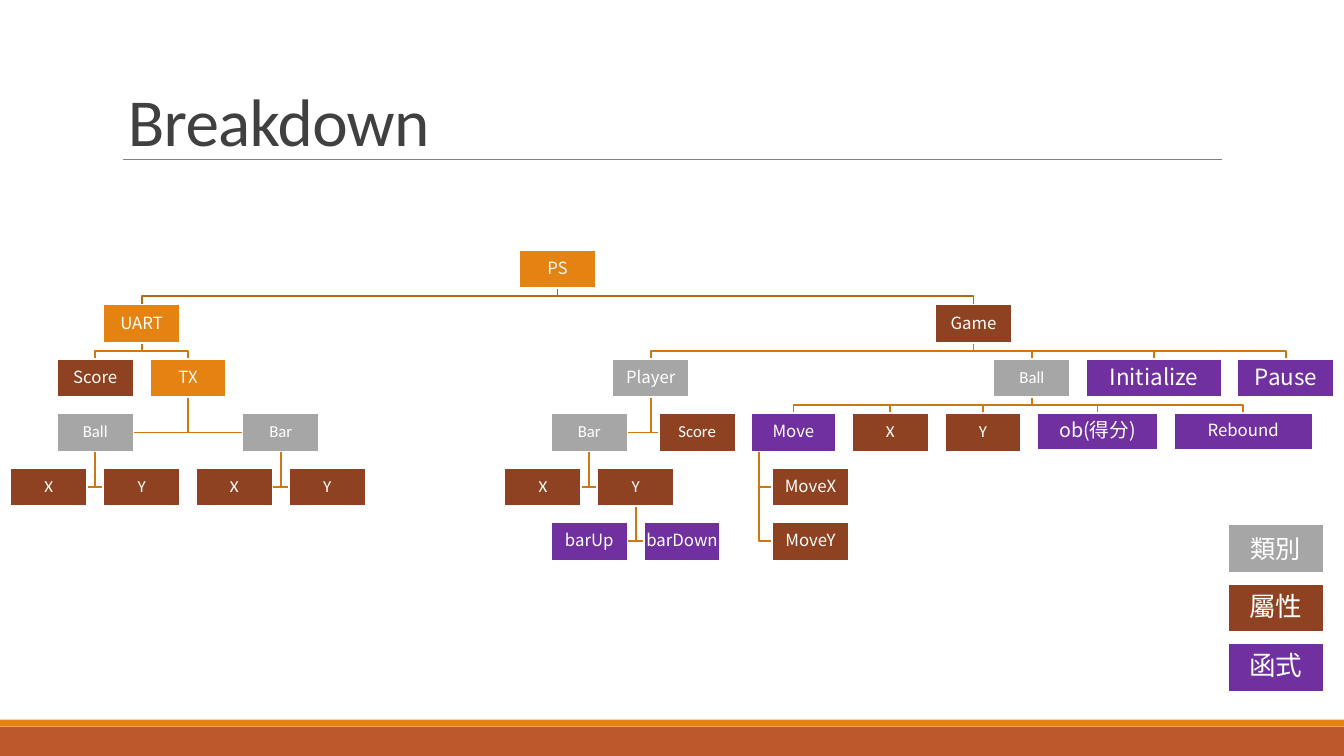
from dataclasses import dataclass, field

from lxml import etree
from pptx import Presentation
from pptx.dml.color import RGBColor
from pptx.enum.shapes import MSO_CONNECTOR, MSO_SHAPE
from pptx.enum.text import MSO_ANCHOR, PP_ALIGN
from pptx.oxml.ns import qn
from pptx.util import Inches, Pt

RECT = MSO_SHAPE.RECTANGLE
STRAIGHT = MSO_CONNECTOR.STRAIGHT
MIDDLE, BOTTOM = MSO_ANCHOR.MIDDLE, MSO_ANCHOR.BOTTOM
CENTER, LEFT = PP_ALIGN.CENTER, PP_ALIGN.LEFT

SLIDE_W, SLIDE_H = 13.33, 7.5
CALIBRI, NOTO = "Calibri", "Noto Sans CJK SC"
MODULE, CLASS, ATTRIBUTE, METHOD = "E48312", "A6A6A6", "8E4221", "7030A0"
WHITE = "FFFFFF"
ROOT_LINK, LINK = "B7690E", "CF7710"

BOX_W, BOX_H = 0.76, 0.38
GAP = 0.16
ROW_STEP = BOX_H + GAP
CHART_TOP, ROOT_X = 2.48, 5.53
LIST_STEM, LIST_INDENT = 0.08, 0.13


@dataclass
class Node:
    """A chart box; children stand in a "row", a "pair" beside a stem, or a "list"."""
    label: str
    fill: str
    children: list = field(default_factory=list)
    layout: str = "row"
    spread: tuple = (GAP / 2, GAP / 2)
    gap: float = GAP
    width: float = BOX_W
    height: float = BOX_H
    size: int = 12
    font: str = NOTO
    x: float = 0
    y: float = 0

    @property
    def center(self):
        return self.x + self.width / 2

    @property
    def stem(self):
        return self.x + LIST_STEM if self.layout == "list" else self.center


def small(label, fill, *children, **options):
    return Node(label, fill, list(children), font=CALIBRI, **options)


def axes():
    return [small("X", ATTRIBUTE), small("Y", ATTRIBUTE)]


def build_tree():
    uart = Node("UART", MODULE, [
        Node("Score", ATTRIBUTE),
        Node("TX", MODULE, [
            small("Ball", CLASS, *axes(), layout="pair"),
            small("Bar", CLASS, *axes(), layout="pair"),
        ], layout="pair", spread=(0.54, 0.54)),
    ])
    bar_moves = [Node("barUp", METHOD), Node("barDown", METHOD)]
    player = Node("Player", CLASS, [
        small("Bar", CLASS, small("X", ATTRIBUTE),
              small("Y", ATTRIBUTE, *bar_moves, layout="pair"), layout="pair"),
        small("Score", ATTRIBUTE),
    ], layout="pair", spread=(0.23, GAP / 2))
    move = Node("Move", METHOD, [Node("MoveX", ATTRIBUTE), Node("MoveY", ATTRIBUTE)],
                layout="list", width=0.84)
    ball = small("Ball", CLASS, move, *axes(),
                 Node("ob(得分)", METHOD, width=1.19, height=0.36, size=14),
                 Node("Rebound", METHOD, width=1.38, height=0.36), gap=3.02)
    game = Node("Game", ATTRIBUTE, [
        player, ball,
        Node("Initialize", METHOD, width=1.34, size=16),
        Node("Pause", METHOD, width=0.96, size=16),
    ], gap=7.49)
    return Node("PS", MODULE, [uart, game])


def place(node, x, y):
    """Set the position of a node and, from it, of everything below."""
    node.x, node.y = x, y
    if not node.children:
        return
    below = y + ROW_STEP
    if node.layout == "row":
        gaps = [0] + [child.gap for child in node.children[1:]]
        left = node.center - (sum(gaps) + sum(c.width for c in node.children)) / 2
        for child, gap in zip(node.children, gaps):
            place(child, left + gap, below)
            left += gap + child.width
    elif node.layout == "pair":
        first, second = node.children
        place(first, node.stem - node.spread[0] - first.width, below)
        place(second, node.stem + node.spread[1], below)
    else:
        for step, child in enumerate(node.children):
            place(child, node.stem + LIST_INDENT, below + step * ROW_STEP)


def color(hex_code):
    return RGBColor.from_string(hex_code)


def write(shape, text, size=12, font=NOTO, ink=WHITE, align=CENTER, anchor=MIDDLE,
          inset=0.01, line_spacing=0.9, tracking=None, wrap=False):
    frame = shape.text_frame
    frame.word_wrap = wrap
    frame.vertical_anchor = anchor
    frame.margin_left = frame.margin_right = Inches(inset)
    frame.margin_top = frame.margin_bottom = Inches(inset / 2 if wrap else inset)
    paragraph = frame.paragraphs[0]
    paragraph.alignment = align
    paragraph.line_spacing = line_spacing
    run = paragraph.add_run()
    run.text = text
    run.font.size = Pt(size)
    run.font.name = font
    run.font.color.rgb = color(ink)
    properties = run.font._element
    etree.SubElement(properties, qn("a:ea")).set("typeface", font)
    if tracking is not None:
        properties.set("spc", str(tracking))


def add_box(slide, x, y, width, height, fill, outline=None):
    box = slide.shapes.add_shape(RECT, *map(Inches, (x, y, width, height)))
    box.shadow.inherit = False
    box.fill.solid()
    box.fill.fore_color.rgb = color(fill)
    if outline:
        box.line.color.rgb = color(outline)
        box.line.width = Pt(1.25)
    else:
        box.line.fill.background()
    return box


def add_link(slide, parent, child, ink):
    start = (parent.stem, parent.y + parent.height)
    if parent.layout == "row":
        turn = (start[1] + child.y) / 2
        corners = [(parent.stem, turn), (child.center, turn), (child.center, child.y)]
    else:
        level = child.y + child.height / 2
        side = child.x + child.width if child.center < parent.stem else child.x
        corners = [(parent.stem, level), (side, level)]
    points = [tuple(map(Inches, point)) for point in [start, *corners]]
    builder = slide.shapes.build_freeform(*points[0])
    builder.add_line_segments(points[1:], close=False)
    link = builder.convert_to_shape()
    link.shadow.inherit = False
    link.fill.background()
    link.line.color.rgb = color(ink)
    link.line.width = Pt(1.25)


def draw_links(slide, node, ink=LINK):
    for child in node.children:
        draw_links(slide, child)
        add_link(slide, node, child, ink)


def draw_nodes(slide, node):
    box = add_box(slide, node.x, node.y, node.width, node.height, node.fill, WHITE)
    write(box, node.label, size=node.size, font=node.font)
    for child in node.children:
        draw_nodes(slide, child)


def draw_frame(slide):
    """Draw the footer bands, the title and its rule."""
    add_box(slide, 0, 7.21, SLIDE_W, SLIDE_H - 7.21, "BD582C")
    add_box(slide, 0, 7.14, SLIDE_W, 0.07, MODULE)
    ends = map(Inches, (1.22, 1.58, 12.12, 1.58))
    rule = slide.shapes.add_connector(STRAIGHT, *ends)
    rule.line.color.rgb = color("808080")
    rule.line.width = Pt(0.5)
    etree.SubElement(rule._element.spPr, qn("a:effectLst"))
    title = slide.shapes.add_textbox(*map(Inches, (1.17, 0.05, 11, 1.59)))
    write(title, "Breakdown", size=48, font=CALIBRI, ink="404040", align=LEFT,
          anchor=BOTTOM, inset=0.1, line_spacing=0.85, tracking=-50, wrap=True)


def draw_legend(slide):
    entries = [("類別", CLASS, 18, 1), ("屬性", ATTRIBUTE, 19, 0.9), ("函式", METHOD, 19, 0.9)]
    for row, (label, fill, size, spacing) in enumerate(entries):
        key = add_box(slide, 12.18, 5.2 + row * 0.59, 0.95, 0.48, fill, WHITE)
        write(key, label, size=size, line_spacing=spacing)


def main():
    deck = Presentation()
    deck.slide_width, deck.slide_height = Inches(SLIDE_W), Inches(SLIDE_H)
    slide = deck.slides.add_slide(deck.slide_layouts[6])
    draw_frame(slide)
    root = build_tree()
    place(root, ROOT_X - BOX_W / 2, CHART_TOP)
    draw_links(slide, root, ROOT_LINK)
    draw_nodes(slide, root)
    draw_legend(slide)
    deck.save("out.pptx")


if __name__ == "__main__":
    main()
